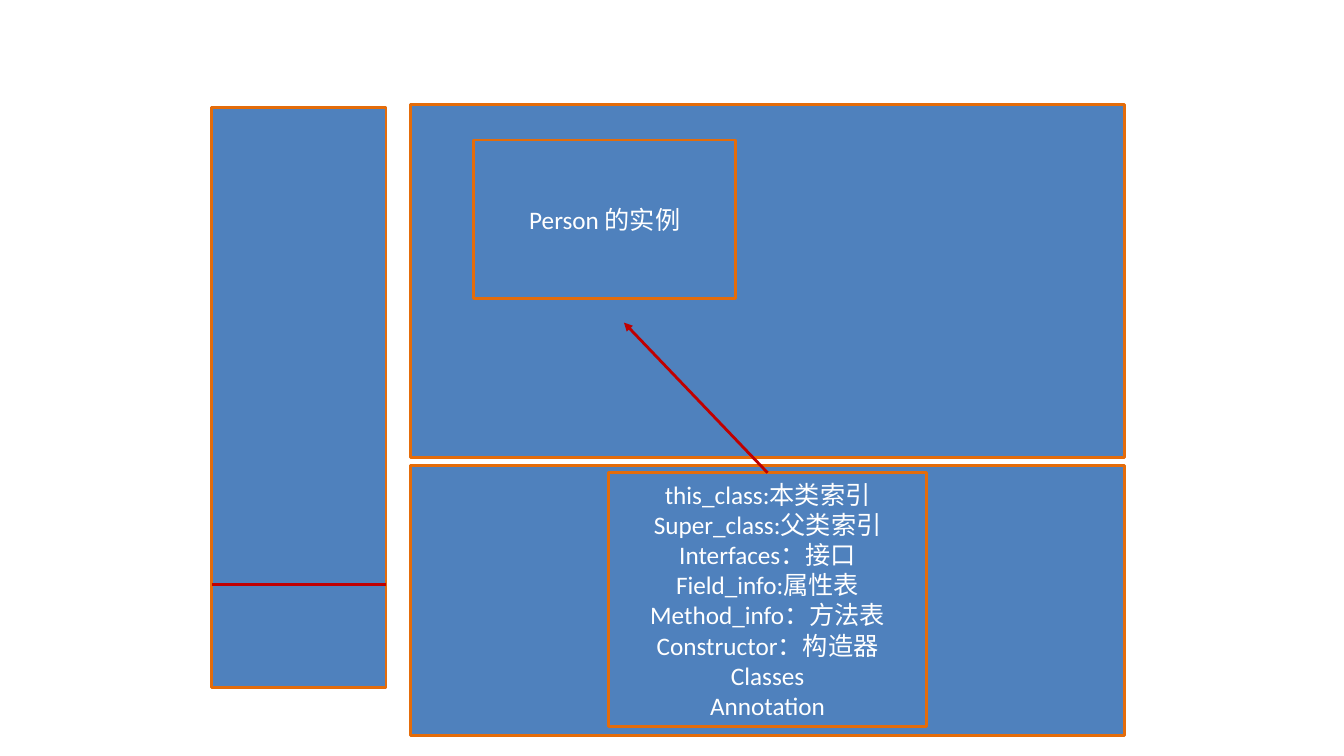
from lxml import etree
from pptx import Presentation
from pptx.dml.color import RGBColor
from pptx.enum import shapes, text
from pptx.oxml.ns import qn
from pptx.util import Pt

BLUE = RGBColor(0x4F, 0x81, 0xBD)
ORANGE = RGBColor(0xE4, 0x6C, 0x0A)
RED = RGBColor(0xC0, 0x00, 0x00)
WHITE = RGBColor(0xFF, 0xFF, 0xFF)
FONT = "Calibri"

CLASS_LINES = [
    "this_class:本类索引",
    "Super_class:父类索引",
    "Interfaces：接口",
    "Field_info:属性表",
    "Method_info：方法表",
    "Constructor：构造器",
    "Classes",
    "Annotation",
]
PERSON_LINES = ["Person 的实例"]

# left, top, width, height in points
STACK = (151.2, 77, 124.6, 414)
HEAP = (293, 74.9, 510.5, 252)
METHOD_AREA = (293, 332.6, 510.5, 193)
CLASS_INFO = (434.9, 337.7, 226.8, 181.4)
PERSON = (338.4, 100.1, 187.2, 113)
ARROW_TIP = (445.7, 230.4)
STACK_DIVIDER_Y = 417.6


def add_box(slide, area, lines=()):
    box = slide.shapes.add_shape(shapes.MSO_SHAPE.RECTANGLE, *map(Pt, area))
    box.shadow.inherit = False
    box.fill.solid()
    box.fill.fore_color.rgb = BLUE
    box.line.color.rgb = ORANGE
    box.line.width = Pt(2)
    frame = box.text_frame
    frame.vertical_anchor = text.MSO_ANCHOR.MIDDLE
    for i, line in enumerate(lines):
        paragraph = frame.add_paragraph() if i else frame.paragraphs[0]
        paragraph.text = line
        paragraph.alignment = text.PP_ALIGN.CENTER
        paragraph.font.name = FONT
        paragraph.font.size = Pt(18)
        paragraph.font.color.rgb = WHITE
    return box


def add_red_line(slide, start, end):
    line = slide.shapes.add_connector(
        shapes.MSO_CONNECTOR.STRAIGHT, *map(Pt, start + end))
    line.line.color.rgb = RED
    line.line.width = Pt(2)
    etree.SubElement(line._element.spPr, qn("a:effectLst"))
    return line


def main():
    deck = Presentation()
    deck.slide_width, deck.slide_height = Pt(960), Pt(540)
    slide = deck.slides.add_slide(deck.slide_layouts[6])

    for area in (STACK, HEAP, METHOD_AREA):
        add_box(slide, area)
    class_info = add_box(slide, CLASS_INFO, CLASS_LINES)

    left, top, width, _ = CLASS_INFO
    arrow = add_red_line(slide, (left + width / 2, top), ARROW_TIP)
    arrow.begin_connect(class_info, 0)
    etree.SubElement(arrow.line._get_or_add_ln(), qn("a:tailEnd"), type="triangle")

    add_box(slide, PERSON, PERSON_LINES)

    left, _, width, _ = STACK
    add_red_line(slide, (left, STACK_DIVIDER_Y), (left + width, STACK_DIVIDER_Y))

    deck.save("out.pptx")


if __name__ == "__main__":
    main()
